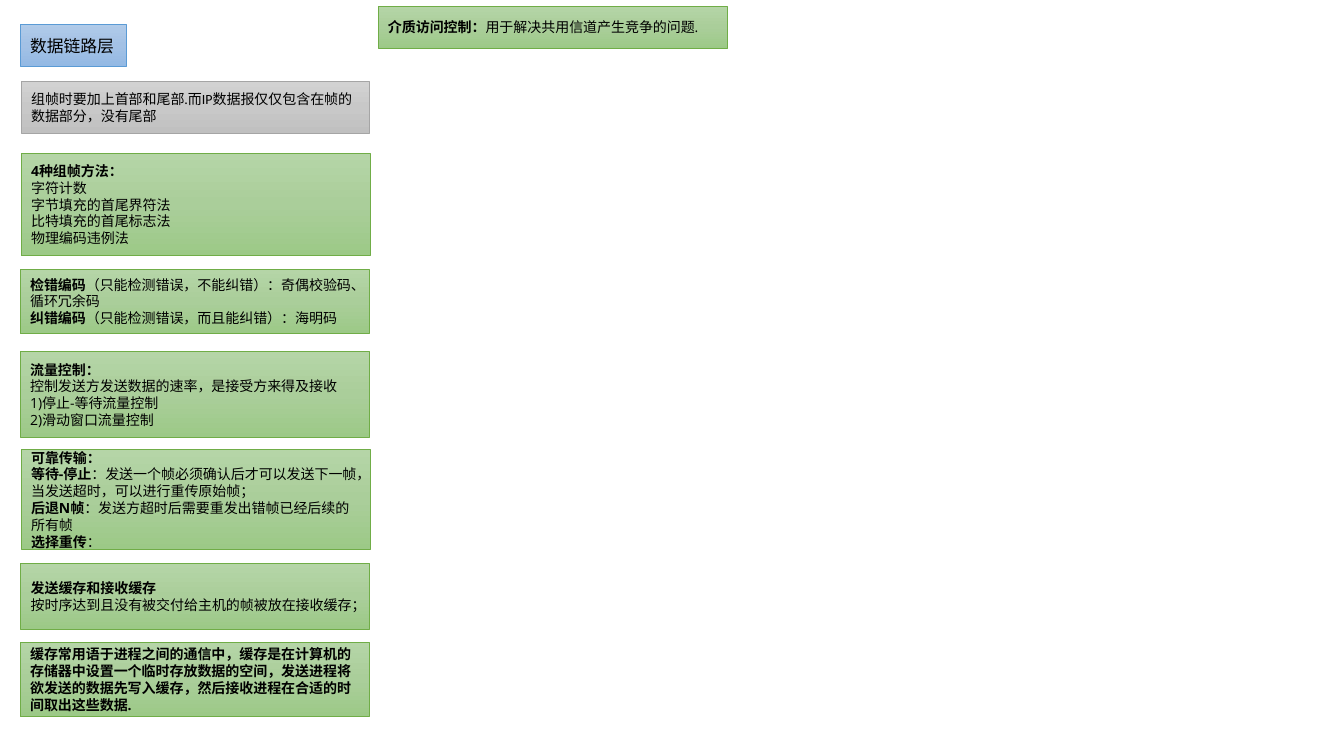
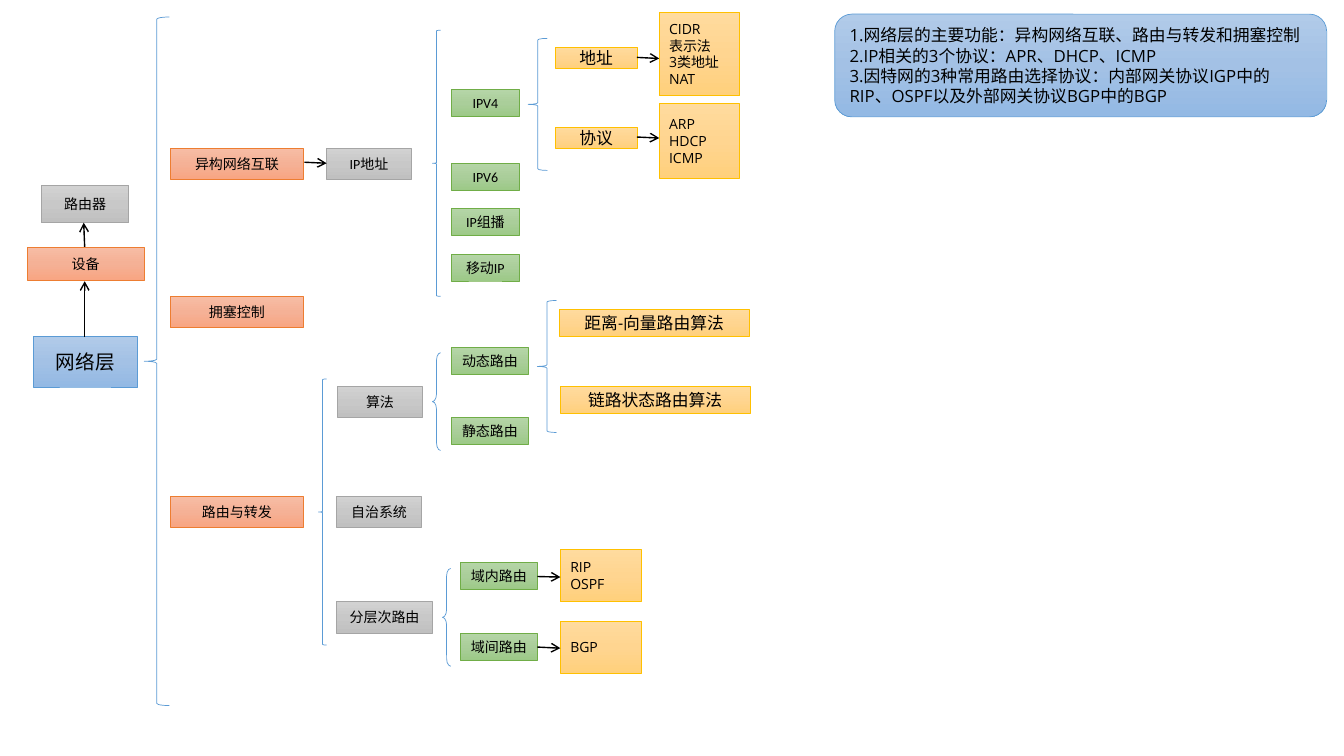
from copy import deepcopy

from lxml import etree
from pptx import Presentation
from pptx.dml.color import RGBColor
from pptx.enum import shapes, text
from pptx.oxml import ns
from pptx.util import Pt

# Each tone: gradient top, middle, bottom, then outline
TONES = {
    "blue": ("B1CBE9", "A3C1E5", "93B9E4", "5B9BD5"),
    "gray": ("D2D2D2", "C8C8C8", "C0C0C0", "A5A5A5"),
    "green": ("B5D5A7", "AACE9A", "9CC987", "70AD47"),
    "orange": ("F7BDA5", "F5B196", "F8A582", "ED7D31"),
    "gold": ("FFDB9E", "FFD590", "FFD07C", "FFC000"),
}
BLACK = "000000"
SANS = "Open Sans"
BODY = "Calibri"
FORM = shapes.MSO_SHAPE


def rgb(code):
    return RGBColor.from_string(code)


def write(frame, words, size=10, font=BODY, center=False):
    """Fill a frame, one paragraph a line; asterisks enclose bold text."""
    frame.word_wrap = True
    frame.vertical_anchor = text.MSO_ANCHOR.MIDDLE
    for i, line in enumerate(words.split("\n")):
        para = frame.paragraphs[0] if i == 0 else frame.add_paragraph()
        para.alignment = text.PP_ALIGN.CENTER if center else text.PP_ALIGN.LEFT
        for j, part in enumerate(line.split("*")):
            if part:
                run = para.add_run()
                run.text = part
                run.font.size = Pt(size)
                run.font.name = font
                run.font.bold = j % 2 == 1
                run.font.color.rgb = rgb(BLACK)


def shade(shape, tone):
    """Give a shape the three-stop vertical gradient of a tone."""
    fill = shape.fill
    fill.gradient()
    fill.gradient_angle = 270
    stops = shape._element.spPr.find(".//" + ns.qn("a:gsLst"))
    stops.insert(1, deepcopy(stops[0]))
    for stop, code, place in zip(fill.gradient_stops, TONES[tone], (0, 0.5, 1)):
        stop.color.rgb = rgb(code)
        stop.position = place


def draw(slide, form, at, tone):
    shape = slide.shapes.add_shape(form, *map(Pt, at))
    shape.shadow.inherit = False
    shape.line.color.rgb = rgb(TONES[tone][-1])
    shape.line.width = Pt(0.5)
    return shape


def box(slide, tone, at, words, form=FORM.RECTANGLE, **style):
    shape = draw(slide, form, at, tone)
    shade(shape, tone)
    write(shape.text_frame, words, **style)


def node(slide, tone, at, words, **style):
    box(slide, tone, at, words, center=True, **style)


def brace(slide, at, curl=None):
    shape = draw(slide, FORM.LEFT_BRACE, at, "blue")
    shape.fill.background()
    if curl:
        shape.adjustments[0] = curl


def arrow(slide, *ends):
    line = slide.shapes.add_connector(
        shapes.MSO_CONNECTOR.STRAIGHT, *map(Pt, ends))
    line.line.color.rgb = rgb(BLACK)
    line.line.width = Pt(1)
    tip = etree.SubElement(line.line._get_or_add_ln(), ns.qn("a:tailEnd"))
    tip.set("type", "arrow")
    etree.SubElement(line._element.spPr, ns.qn("a:effectLst"))


def link(slide):
    """Notes on the data link layer."""
    box(slide, "blue", (14.4, 17.3, 75.6, 30.2), "数据链路层", size=12)
    box(slide, "gray", (15.1, 58.3, 248.4, 36.7),
        "组帧时要加上首部和尾部.而IP数据报仅仅包含在帧的数据部分，没有尾部")
    notes = [
        (15.1, 109.4, 73.4, SANS,
         "*4种组帧方法：*\n字符计数\n字节填充的首尾界符法\n"
         "比特填充的首尾标志法\n物理编码违例法"),
        (14.4, 192.2, 46.1, BODY,
         "*检错编码*（只能检测错误，不能纠错）：奇偶校验码、循环冗余码\n"
         "*纠错编码*（只能检测错误，而且能纠错）：海明码"),
        (14.4, 251.3, 61.2, SANS,
         "*流量控制：*\n控制发送方发送数据的速率，是接受方来得及接收\n"
         "1)停止-等待流量控制\n2)滑动窗口流量控制"),
        (15.1, 321.1, 71.3, SANS,
         "*可靠传输：*\n"
         "*等待-停止*：发送一个帧必须确认后才可以发送下一帧，"
         "当发送超时，可以进行重传原始帧；\n"
         "*后退N帧*：发送方超时后需要重发出错帧已经后续的所有帧\n"
         "*选择重传*："),
        (14.8, 402.5, 46.8, SANS,
         "*发送缓存和接收缓存*\n"
         "按时序达到且没有被交付给主机的帧被放在接收缓存；"),
        (14.4, 458.6, 53.3, SANS,
         "*缓存常用语于进程之间的通信中，缓存是在计算机的存储器中设置"
         "一个临时存放数据的空间，发送进程将欲发送的数据先写入缓存，"
         "然后接收进程在合适的时间取出这些数据.*"),
        (270, 4.3, 30.2, SANS,
         "*介质访问控制：*用于解决共用信道产生竞争的问题."),
    ]
    for x, y, high, font, words in notes:
        box(slide, "green", (x, y, 249.3, high), words, font=font)


def net(slide):
    """Mind map of the network layer."""
    node(slide, "blue", (23.8, 240.5, 74.2, 36), "网络层", size=14)
    node(slide, "orange", (19.4, 176.4, 83.5, 23.8), "设备")
    node(slide, "gray", (29.5, 132.5, 62.6, 26.6), "路由器")

    for y, words in ((105.8, "异构网络互联"), (211.7, "拥塞控制"),
                     (354.2, "路由与转发")):
        node(slide, "orange", (121.7, y, 95, 22.3), words)

    for x, y, wide, words in (
            (233.3, 105.8, 60.5, "IP地址"), (241.2, 275.8, 60.5, "算法"),
            (240.5, 354.2, 60.5, "自治系统"), (240.5, 429.8, 68.4, "分层次路由")):
        node(slide, "gray", (x, y, wide, 22.3), words)

    for x, y, wide, words in (
            (322.6, 64.1, 48.2, "IPV4"), (322.6, 116.6, 48.2, "IPV6"),
            (322.6, 149, 48.2, "IP组播"), (322.6, 181.4, 48.2, "移动IP"),
            (322.6, 248.4, 54.7, "动态路由"), (322.6, 298.1, 54.7, "静态路由"),
            (329, 401.8, 54.7, "域内路由"), (329, 452.2, 54.7, "域间路由")):
        node(slide, "green", (x, y, wide, 19.4), words)

    for at, words in (
            ((396.7, 33.8, 58.3, 15.1), "地址"),
            ((396.7, 90.7, 58.3, 15.1), "协议"),
            ((399.6, 221, 135.4, 19.4), "距离-向量路由算法"),
            ((400.3, 275.8, 135.4, 19.4), "链路状态路由算法")):
        node(slide, "gold", at, words, size=12)

    for x, y, high, words in (
            (470.9, 8.6, 59.8, "CIDR\n表示法\n3类地址\nNAT"),
            (470.9, 74.2, 53.3, "ARP\nHDCP\nICMP"),
            (400.3, 392.4, 37.4, "RIP\nOSPF"), (400.3, 443.5, 37.4, "BGP")):
        box(slide, "gold", (x, y, 57.6, high), words, font=SANS)

    for at in ((103, 12.2, 18, 491.8), (308.9, 21.6, 5.8, 190.1),
               (227.5, 270.7, 5.8, 190.1), (377.3, 27.4, 13.7, 94.3),
               (383.8, 214.6, 13.7, 94.3)):
        brace(slide, at)
    for x, y in ((308.9, 252), (316.1, 406.1)):
        brace(slide, (x, y, 5.8, 69.8), curl=0.94)

    for ends in ((60.5, 240.5, 60.5, 200.9), (60.5, 176.4, 59.8, 159.1),
                 (217.4, 115.9, 233.3, 116.6), (455, 41, 470.9, 41.8),
                 (455, 97.9, 470.9, 98.6), (383.8, 411.8, 400.3, 412.2),
                 (383.8, 462.2, 400.3, 463)):
        arrow(slide, *ends)

    box(slide, "blue", (596.2, 10.1, 351.4, 73.4),
        "1.网络层的主要功能：异构网络互联、路由与转发和拥塞控制\n"
        "2.IP相关的3个协议：APR、DHCP、ICMP\n"
        "3.因特网的3种常用路由选择协议：内部网关协议IGP中的RIP、"
        "OSPF以及外部网关协议BGP中的BGP",
        form=FORM.ROUNDED_RECTANGLE, size=12, font=SANS)


def main():
    deck = Presentation()
    deck.slide_width, deck.slide_height = Pt(960), Pt(540)
    for build in (link, net):
        build(deck.slides.add_slide(deck.slide_layouts[6]))
    deck.save("out.pptx")


if __name__ == "__main__":
    main()
